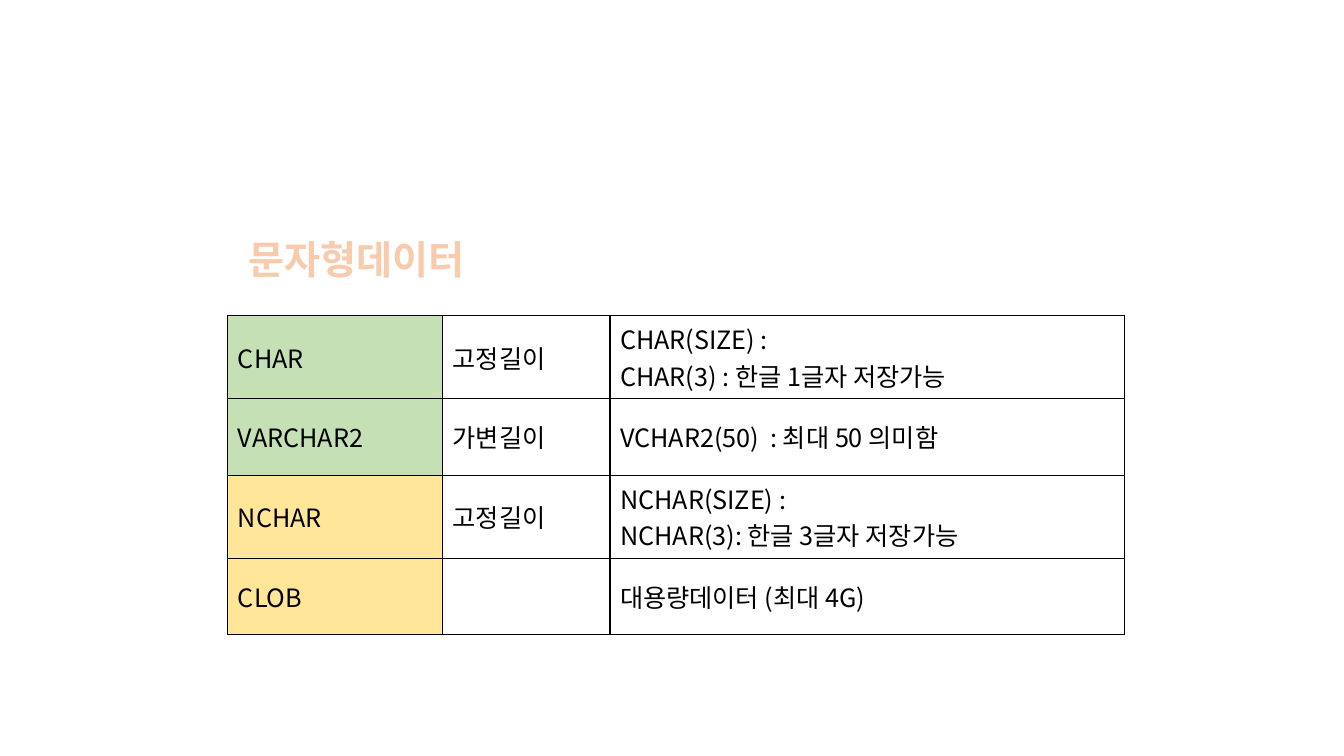
from dataclasses import dataclass

from lxml.etree import SubElement
from pptx import Presentation
from pptx.dml.color import RGBColor
from pptx.enum.text import MSO_ANCHOR, MSO_AUTO_SIZE, PP_ALIGN
from pptx.oxml.ns import qn
from pptx.util import Inches, Pt


@dataclass(frozen=True)
class Theme:
    font: str = "Noto Sans CJK KR"
    title_size: int = 28
    body_size: int = 18
    text: str = "000000"
    border: str = "000000"
    title: str = "F8CBAD"
    title_outline: str = "ED7D31"
    fixed_set: str = "C5E0B4"
    national_set: str = "FFE699"


THEME = Theme()
LEFT = 2.26
COLUMNS = (2.13, 1.66, 5.1)
ROW_HEIGHT = 0.76
ROWS = (
    (THEME.fixed_set, "CHAR", "고정길이", "CHAR(SIZE) :\nCHAR(3) : 한글 1글자 저장가능"),
    (THEME.fixed_set, "VARCHAR2", "가변길이", "VCHAR2(50)  : 최대 50 의미함"),
    (THEME.national_set, "NCHAR", "고정길이", "NCHAR(SIZE) :\nNCHAR(3): 한글 3글자 저장가능"),
    (THEME.national_set, "CLOB", "", "대용량데이터 (최대 4G)"),
)


def add_line(parent, tag, color, width):
    ln = SubElement(parent, qn(tag), w=str(Pt(width)))
    fill = SubElement(ln, qn("a:solidFill"))
    SubElement(fill, qn("a:srgbClr"), val=color)
    return ln


def style_paragraph(p, size, color, bold=False):
    p.font.name = THEME.font
    p.font.size = Pt(size)
    p.font.bold = bold
    p.font.color.rgb = RGBColor.from_string(color)
    props = p._p.pPr.find(qn("a:defRPr"))
    latin = props.find(qn("a:latin"))
    ea = SubElement(props, qn("a:ea"), typeface=THEME.font)
    latin.addnext(ea)


def fill_cell(cell, text, color=None):
    cell.text = text
    cell.vertical_anchor = MSO_ANCHOR.MIDDLE
    for p in cell.text_frame.paragraphs:
        style_paragraph(p, THEME.body_size, THEME.text)
    for side in "LRTB":
        add_line(cell._tc.get_or_add_tcPr(), f"a:ln{side}", THEME.border, 1)
    if color:
        cell.fill.solid()
        cell.fill.fore_color.rgb = RGBColor.from_string(color)
    else:
        cell.fill.background()


def add_type_table(s, top):
    height = ROW_HEIGHT * len(ROWS)
    table = s.shapes.add_table(
        len(ROWS), len(COLUMNS), Inches(LEFT), Inches(top),
        Inches(sum(COLUMNS)), Inches(height),
    ).table
    table.first_row = False
    table.horz_banding = False
    for column, width in zip(table.columns, COLUMNS):
        column.width = Inches(width)
    for row, (color, *texts) in zip(table.rows, ROWS):
        row.height = Inches(ROW_HEIGHT)
        for cell, text, fill in zip(row.cells, texts, (color, None, None)):
            fill_cell(cell, text, fill)


def add_title(s, text, top, width, height):
    sp = s.shapes.add_textbox(Inches(LEFT), Inches(top), Inches(width), Inches(height))
    tf = sp.text_frame
    tf.word_wrap = False
    tf.auto_size = MSO_AUTO_SIZE.SHAPE_TO_FIT_TEXT
    p = tf.paragraphs[0]
    p.alignment = PP_ALIGN.CENTER
    r = p.add_run()
    r.text = text
    style_paragraph(p, THEME.title_size, THEME.title, bold=True)
    add_line(r._r.get_or_add_rPr(), "a:ln", THEME.title_outline, 1.75)


def main():
    prs = Presentation()
    prs.slide_width = Inches(13.33)
    prs.slide_height = Inches(7.5)
    s = prs.slides.add_slide(prs.slide_layouts[6])
    add_type_table(s, top=3.13)
    add_title(s, "문자형데이터", top=2.29, width=2.56, height=0.57)
    prs.save("out.pptx")


if __name__ == "__main__":
    main()
